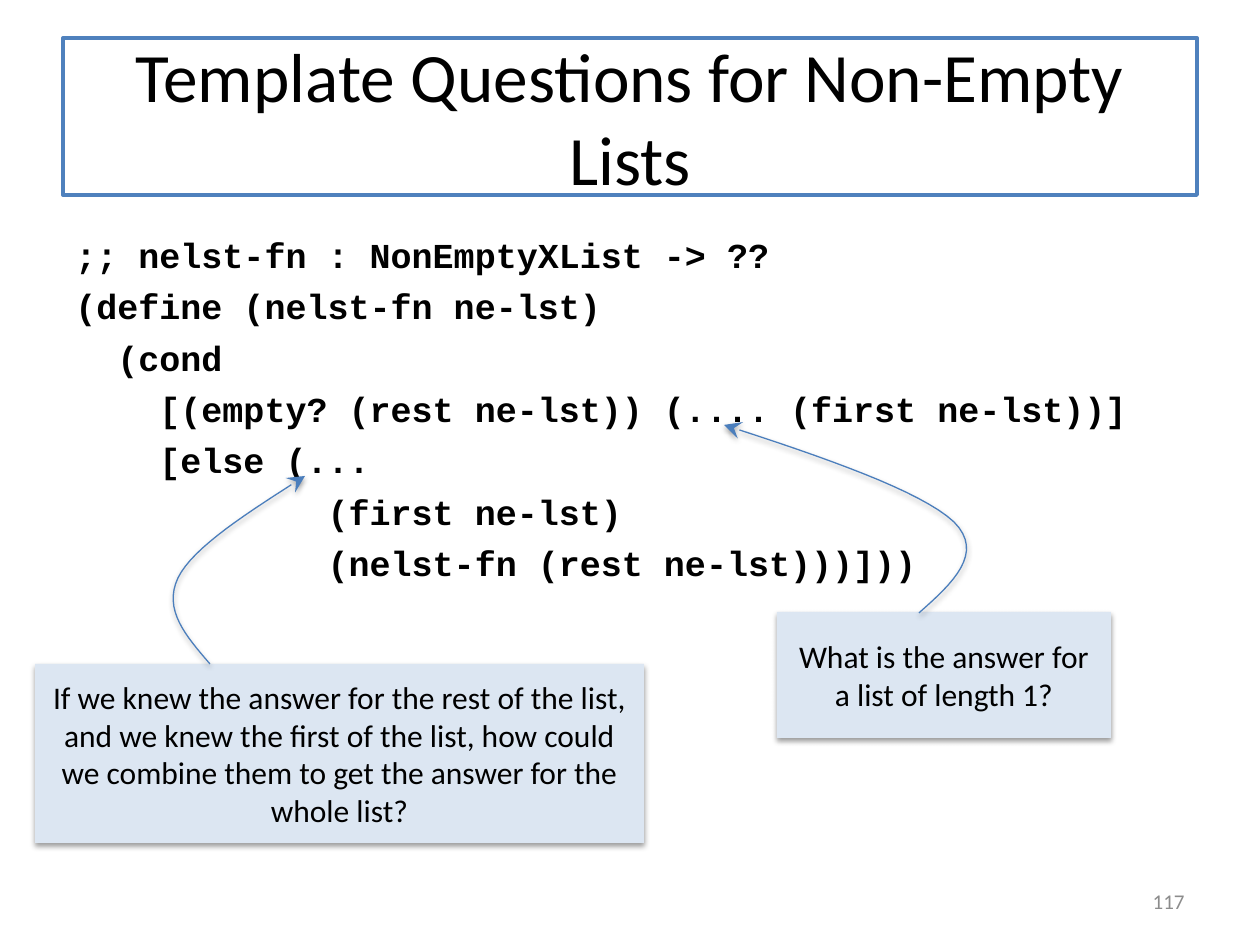
import pptx
import pptx.dml.color
import pptx.enum.shapes
import pptx.enum.text
import pptx.oxml
import pptx.oxml.ns
import pptx.util

PX = 914400 / 126
ALIGN = pptx.enum.text.PP_ALIGN
ANCHOR = pptx.enum.text.MSO_ANCHOR
CODE = """;; nelst-fn : NonEmptyXList -> ??
(define (nelst-fn ne-lst)
  (cond
    [(empty? (rest ne-lst)) (.... (first ne-lst))]
    [else (...
            (first ne-lst)
            (nelst-fn (rest ne-lst)))]))"""
SHADOW = (
    '<a:outerShdw %s blurRad="40000" dist="20000" dir="5400000" rotWithShape="0">'
    '<a:srgbClr val="000000"><a:alpha val="38000"/></a:srgbClr></a:outerShdw>'
)
HEAD = '<a:tailEnd %s type="stealth" w="lg" len="lg"/>'


def rgb(value):
    return pptx.dml.color.RGBColor.from_string(value)


def xml(template):
    return pptx.oxml.parse_xml(template % pptx.oxml.ns.nsdecls("a"))


def emu(*lengths):
    return [round(length * PX) for length in lengths]


def write(tf, text, size=18, font="Calibri", color="000000", bold=False,
          align=ALIGN.CENTER, anchor=ANCHOR.MIDDLE, before=0):
    tf.word_wrap = True
    tf.vertical_anchor = anchor
    for i, line in enumerate(text.split("\n")):
        p = tf.paragraphs[0] if i == 0 else tf.add_paragraph()
        p.alignment = align
        p.space_before = pptx.util.Pt(before if i else 0)
        r = p.add_run()
        r.text = line
        r.font.size = pptx.util.Pt(size)
        r.font.name = font
        r.font.bold = bold
        r.font.color.rgb = rgb(color)


def bezier(points, steps=16):
    for i in range(1, steps + 1):
        t = i / steps
        weights = ((1 - t) ** 3, 3 * t * (1 - t) ** 2, 3 * t * t * (1 - t), t ** 3)
        yield tuple(sum(w * pt[axis] for w, pt in zip(weights, points)) for axis in (0, 1))


class Deck:
    """Holds the style and the current slide, and draws each kind of element."""

    accent = "4F81BD"
    curve = "4B7EBC"
    pale = "DCE6F2"

    def __init__(self):
        self.prs = pptx.Presentation()
        self.prs.slide_width, self.prs.slide_height = emu(1260, 945)
        self.s = self.prs.slides.add_slide(self.prs.slide_layouts[6])

    def shade(self, sp):
        sp.shadow.inherit = False
        effects = sp._element.spPr.find(pptx.oxml.ns.qn("a:effectLst"))
        effects.append(xml(SHADOW))

    def box(self, at, fill):
        sp = self.s.shapes.add_shape(pptx.enum.shapes.MSO_SHAPE.RECTANGLE, *emu(*at))
        sp.shadow.inherit = False
        sp.fill.solid()
        sp.fill.fore_color.rgb = rgb(fill)
        sp.line.fill.background()
        return sp

    def title(self, at, text):
        sp = self.box(at, "FFFFFF")
        sp.line.color.rgb = rgb(self.accent)
        sp.line.width = pptx.util.Pt(2.25)
        write(sp.text_frame, text, size=39.6)

    def callout(self, at, text):
        sp = self.box(at, self.pale)
        self.shade(sp)
        write(sp.text_frame, text)

    def text(self, at, text, top=6, **style):
        tf = self.s.shapes.add_textbox(*emu(*at)).text_frame
        tf.margin_top = emu(top)[0]
        write(tf, text, **style)

    def arrow(self, points):
        path_points = []
        for i in range(0, len(points) - 1, 3):
            path_points += bezier(points[i:i + 4])
        builder = self.s.shapes.build_freeform(*emu(*points[0]), scale=1.0)
        builder.add_line_segments([emu(*pt) for pt in path_points], close=False)
        sp = builder.convert_to_shape()
        sp.fill.background()
        sp.line.color.rgb = rgb(self.curve)
        sp.line.width = pptx.util.Pt(0.75)
        sp.line._get_or_add_ln().append(xml(HEAD))
        self.shade(sp)


def main():
    deck = Deck()
    deck.title((63, 38, 1134, 157), "Template Questions for Non-Empty Lists")
    deck.text((63, 220, 1134, 624), CODE, top=13, size=20, font="Courier New",
              bold=True, align=ALIGN.LEFT, anchor=ANCHOR.TOP, before=5.4)
    deck.text((903, 876, 294, 50), "117", size=12, color="8C8C8C", align=ALIGN.RIGHT)
    deck.callout((777, 612, 334, 126), "What is the answer for a list of length 1?")
    deck.callout((35, 664, 609, 179),
                 "If we knew the answer for the rest of the list, and we knew the first "
                 "of the list, how could we combine them to get the answer for the whole list?")
    deck.arrow([(919, 613), (953, 583), (985, 553), (954, 522),
                (921, 491), (823, 457), (724, 425)])
    deck.arrow([(210, 664), (186, 636), (163, 610), (178, 578),
                (193, 547), (249, 512), (305, 476)])
    deck.prs.save("out.pptx")


if __name__ == "__main__":
    main()
